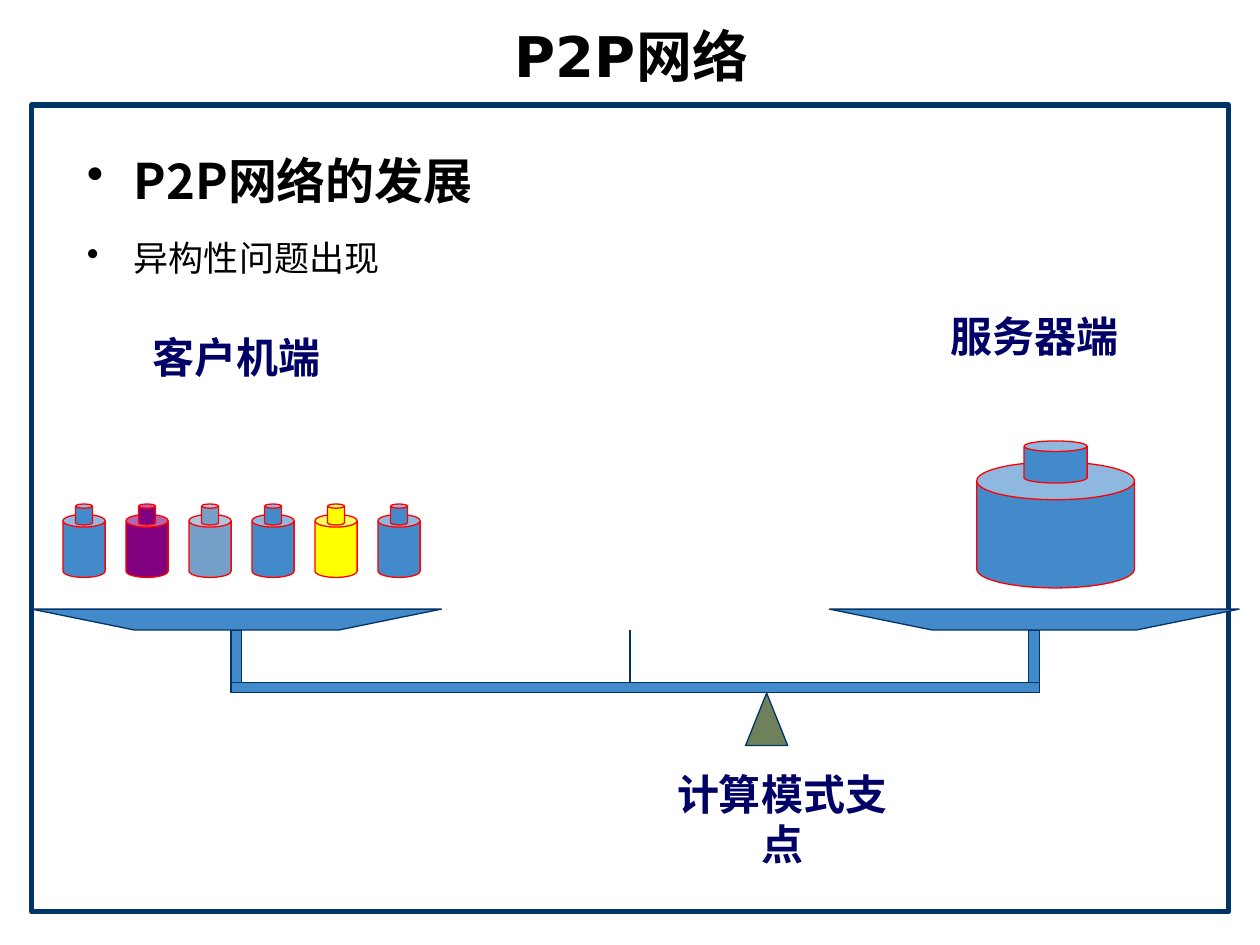
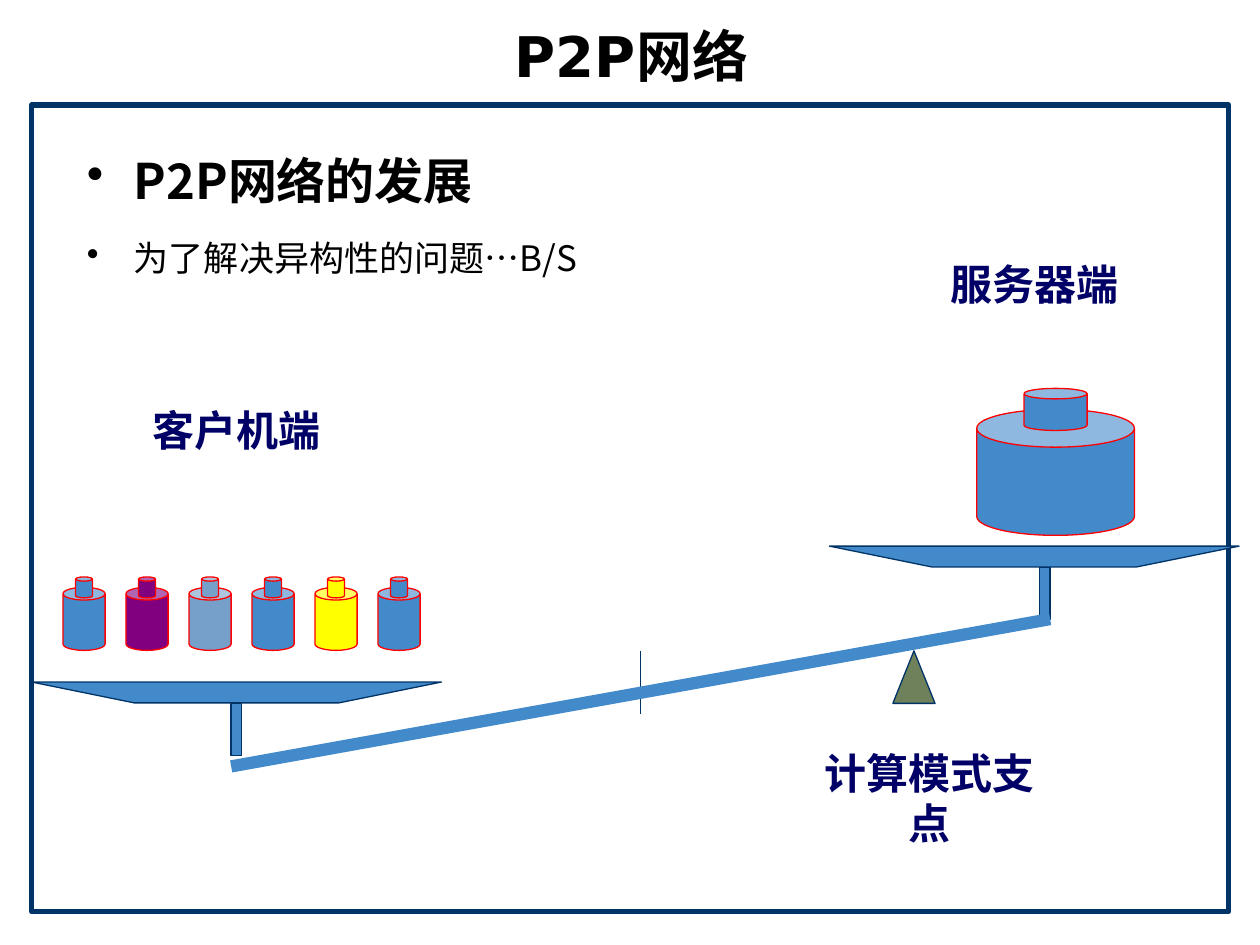
from dataclasses import dataclass

import lxml.etree
import pptx
import pptx.dml.color
import pptx.enum.shapes
import pptx.enum.text
import pptx.oxml.ns
import pptx.util

Cm = pptx.util.Cm
Pt = pptx.util.Pt
Shape = pptx.enum.shapes.MSO_SHAPE
Anchor = pptx.enum.text.MSO_ANCHOR
Align = pptx.enum.text.PP_ALIGN
qn = pptx.oxml.ns.qn


@dataclass(frozen=True)
class Theme:
    paper: str = "FFFFFF"
    ink: str = "000000"
    navy: str = "003366"
    label: str = "000066"
    steel: str = "438ACB"
    olive: str = "6E815B"
    red: str = "FF0000"
    clients: tuple = ("438ACB", "800080", "76A0CA", "438ACB", "FFFF00", "438ACB")
    title_font: str = "DejaVu Sans"
    body_font: str = "Noto Sans CJK SC"
    label_font: str = "Times New Roman"
    title_size: int = 32
    heading_size: int = 28
    point_size: int = 20
    label_size: int = 24
    frame_line: float = 3
    thin_line: float = 0.75
    beam_line: float = 7


@dataclass(frozen=True)
class Scale:
    """One state of the balance; all lengths in centimetres."""
    point: str
    client_pan: float
    server_pan: float
    server_weight: float
    server_post: float
    needle: tuple
    pivot: tuple
    pivot_label: float
    beam_from: tuple
    beam_to: tuple


SCALES = (
    Scale("异构性问题出现", client_pan=12.28, server_pan=12.28,
          server_weight=8.89, server_post=20.74, needle=(12.7, 12.7),
          pivot=(15.45, 13.97), pivot_label=15.66,
          beam_from=(4.66, 13.86), beam_to=(20.96, 13.86)),
    Scale("为了解决异构性的问题…B/S", client_pan=13.75, server_pan=11.01,
          server_weight=7.83, server_post=20.96, needle=(12.91, 13.12),
          pivot=(18.42, 13.12), pivot_label=15.24,
          beam_from=(4.66, 15.45), beam_to=(21.17, 12.48)),
)
PAN_WIDTH, PAN_HEIGHT = 8.26, 0.42
BAR = 0.21
POST_HEIGHT = 1.06
CLIENT_POST = 4.66
CLIENT_STEP = 1.27


class Deck:
    def __init__(self, theme):
        self.theme = theme
        self.presentation = pptx.Presentation()
        self.presentation.slide_width = Cm(25.4)
        self.presentation.slide_height = Cm(19.05)
        self.slide = None

    def start_slide(self, title):
        theme = self.theme
        self.slide = self.presentation.slides.add_slide(
            self.presentation.slide_layouts[5])
        heading = self.slide.shapes.title
        heading.left, heading.top = Cm(0.69), Cm(0.33)
        heading.width, heading.height = Cm(24.08), Cm(1.57)
        heading.text_frame.auto_size = pptx.enum.text.MSO_AUTO_SIZE.NONE
        heading.text_frame.vertical_anchor = Anchor.MIDDLE
        paragraph = heading.text_frame.paragraphs[0]
        paragraph.alignment = Align.CENTER
        self.run(paragraph, title, theme.title_font, theme.title_size, theme.ink)
        self.preset(Shape.RECTANGLE, 0.64, 2.12, 24.13, 16.26, theme.paper,
                    line_width=theme.frame_line)

    def run(self, paragraph, text, font, size, color, bold=True):
        run = paragraph.add_run()
        run.text = text
        run.font.name = font
        run.font.size = Pt(size)
        run.font.bold = bold
        run.font.color.rgb = pptx.dml.color.RGBColor.from_string(color)
        east_asian = lxml.etree.Element(qn("a:ea"), typeface=self.theme.body_font)
        run.font._element.find(qn("a:latin")).addnext(east_asian)

    def paint(self, shape, fill, line=None, line_width=None):
        shape.shadow.inherit = False
        shape.fill.solid()
        shape.fill.fore_color.rgb = pptx.dml.color.RGBColor.from_string(fill)
        self.stroke(shape.line, line or self.theme.navy,
                    line_width or self.theme.thin_line)

    def stroke(self, line, color, width):
        line.color.rgb = pptx.dml.color.RGBColor.from_string(color)
        line.width = Pt(width)

    def preset(self, kind, left, top, width, height, fill, line=None,
               line_width=None, group=None):
        shapes = (group or self.slide).shapes
        shape = shapes.add_shape(kind, Cm(left), Cm(top), Cm(width), Cm(height))
        self.paint(shape, fill, line, line_width)
        return shape

    def line(self, start, end, color, width):
        connector = self.slide.shapes.add_connector(
            pptx.enum.shapes.MSO_CONNECTOR.STRAIGHT,
            *(Cm(value) for value in (*start, *end)))
        self.stroke(connector.line, color, width)
        lxml.etree.SubElement(connector._element.spPr, qn("a:effectLst"))

    def bullets(self, heading, point):
        theme = self.theme
        frame = self.slide.shapes.add_textbox(
            Cm(1.5), Cm(2.31), Cm(22.86), Cm(15.21)).text_frame
        frame.word_wrap = True
        rows = ((heading, theme.heading_size, True, 0),
                (point, theme.point_size, False, 4))
        for index, (text, size, bold, space) in enumerate(rows):
            paragraph = frame.add_paragraph() if index else frame.paragraphs[0]
            paragraph.line_spacing = 1.5
            paragraph.space_before = Pt(space)
            self.run(paragraph, text, theme.body_font, size, theme.ink, bold)
            properties = paragraph._p.get_or_add_pPr()
            properties.set("marL", str(Cm(0.95)))
            properties.set("indent", str(-Cm(0.95)))
            color = lxml.etree.SubElement(properties, qn("a:buClr"))
            lxml.etree.SubElement(color, qn("a:srgbClr"), val=theme.ink)
            lxml.etree.SubElement(properties, qn("a:buChar"), char="•")

    def label(self, text, left, top):
        theme = self.theme
        frame = self.slide.shapes.add_textbox(
            Cm(left), Cm(top), Cm(4.87), Cm(1.69)).text_frame
        frame.word_wrap = False
        frame.vertical_anchor = Anchor.MIDDLE
        paragraph = frame.paragraphs[0]
        paragraph.alignment = Align.CENTER
        self.run(paragraph, text, theme.label_font, theme.label_size, theme.label)

    def weight(self, left, top, width, height, fill):
        """Group a can and its small neck; height is that of the can alone."""
        group = self.slide.shapes.add_group_shape()
        body = self.preset(Shape.CAN, left, top + height / 6, width, height,
                           fill, self.theme.red, group=group)
        body.adjustments[0] = 0.3
        neck = self.preset(Shape.CAN, left + 0.3 * width, top, 0.4 * width,
                           height / 3, fill, self.theme.red, group=group)
        neck.adjustments[0] = 0.25

    def pan(self, left, top, post_left):
        self.preset(Shape.RECTANGLE, post_left, top + PAN_HEIGHT, BAR,
                    POST_HEIGHT, self.theme.steel)
        outline = self.slide.shapes.build_freeform(Cm(left), Cm(top))
        bottom = Cm(top + PAN_HEIGHT)
        outline.add_line_segments([
            (Cm(left + PAN_WIDTH / 4), bottom),
            (Cm(left + PAN_WIDTH * 3 / 4), bottom),
            (Cm(left + PAN_WIDTH), Cm(top))])
        self.paint(outline.convert_to_shape(), self.theme.steel)

    def beam(self, start, end):
        if start[1] == end[1]:
            self.preset(Shape.RECTANGLE, start[0], start[1] - BAR / 2,
                        end[0] - start[0], BAR, self.theme.steel)
        else:
            self.line(start, end, self.theme.steel, self.theme.beam_line)

    def balance(self, scale):
        theme = self.theme
        self.pan(0.64, scale.client_pan, CLIENT_POST)
        self.pan(16.72, scale.server_pan, scale.server_post)

        pivot_x, pivot_y = scale.pivot
        self.preset(Shape.ISOSCELES_TRIANGLE, pivot_x - 0.42, pivot_y, 0.85,
                    1.06, theme.olive)
        needle_x, needle_y = scale.needle
        self.line(scale.needle, (needle_x, needle_y + 1.27), theme.navy,
                  theme.thin_line)
        self.beam(scale.beam_from, scale.beam_to)

        self.weight(19.69, scale.server_weight, 3.18, 2.54, theme.steel)
        for index, color in enumerate(theme.clients):
            self.weight(CLIENT_STEP * (index + 1), scale.client_pan - 2.12,
                        0.85, 1.27, color)

        self.label("客户机端", 2.33, scale.client_pan - 5.93)
        self.label("服务器端", 18.42, scale.server_weight - 2.96)
        self.label("计算模式支点", pivot_x - 2.12, scale.pivot_label)


def main():
    deck = Deck(Theme())
    for scale in SCALES:
        deck.start_slide("P2P网络")
        deck.bullets("P2P网络的发展", scale.point)
        deck.balance(scale)
    deck.presentation.save("out.pptx")


if __name__ == "__main__":
    main()
